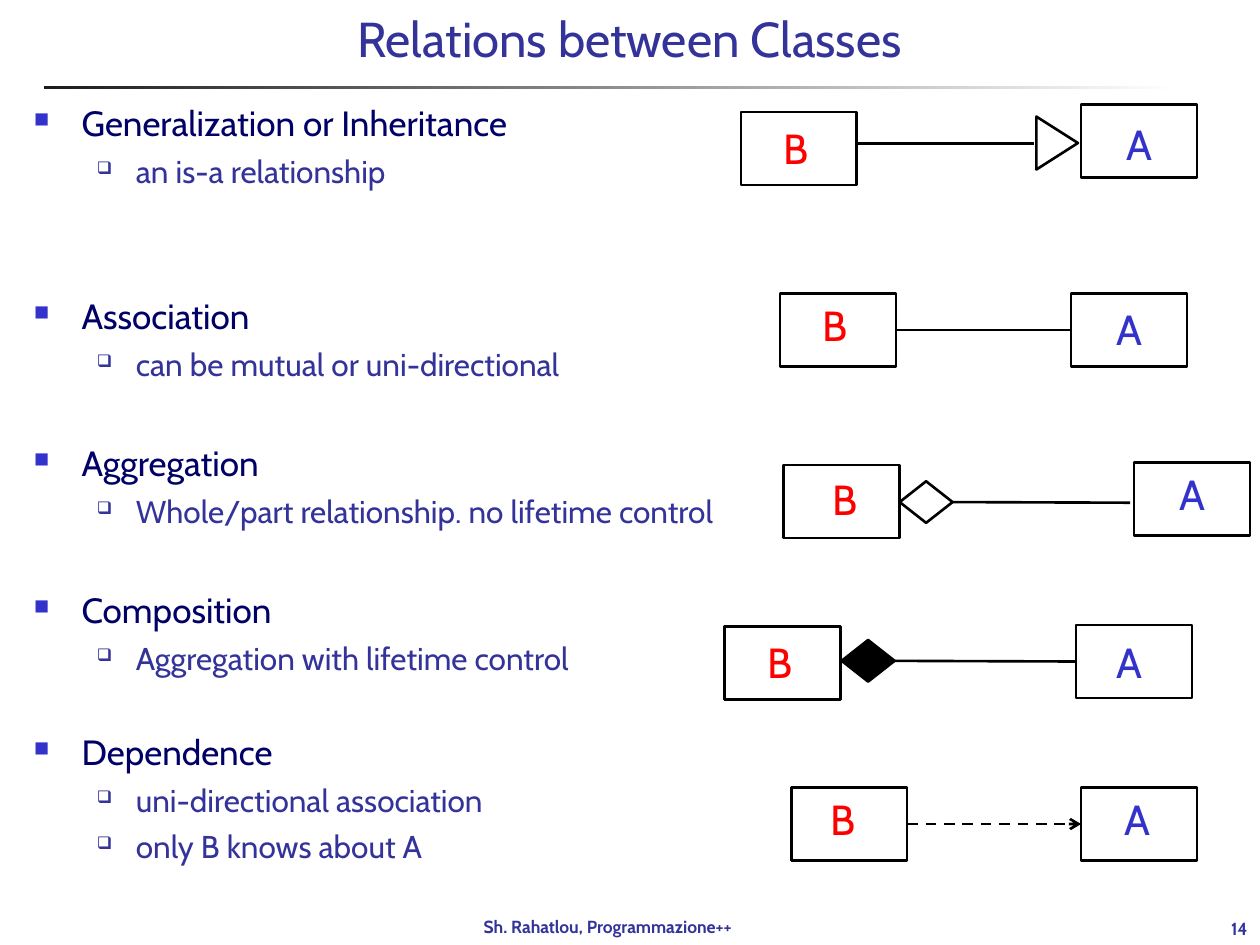
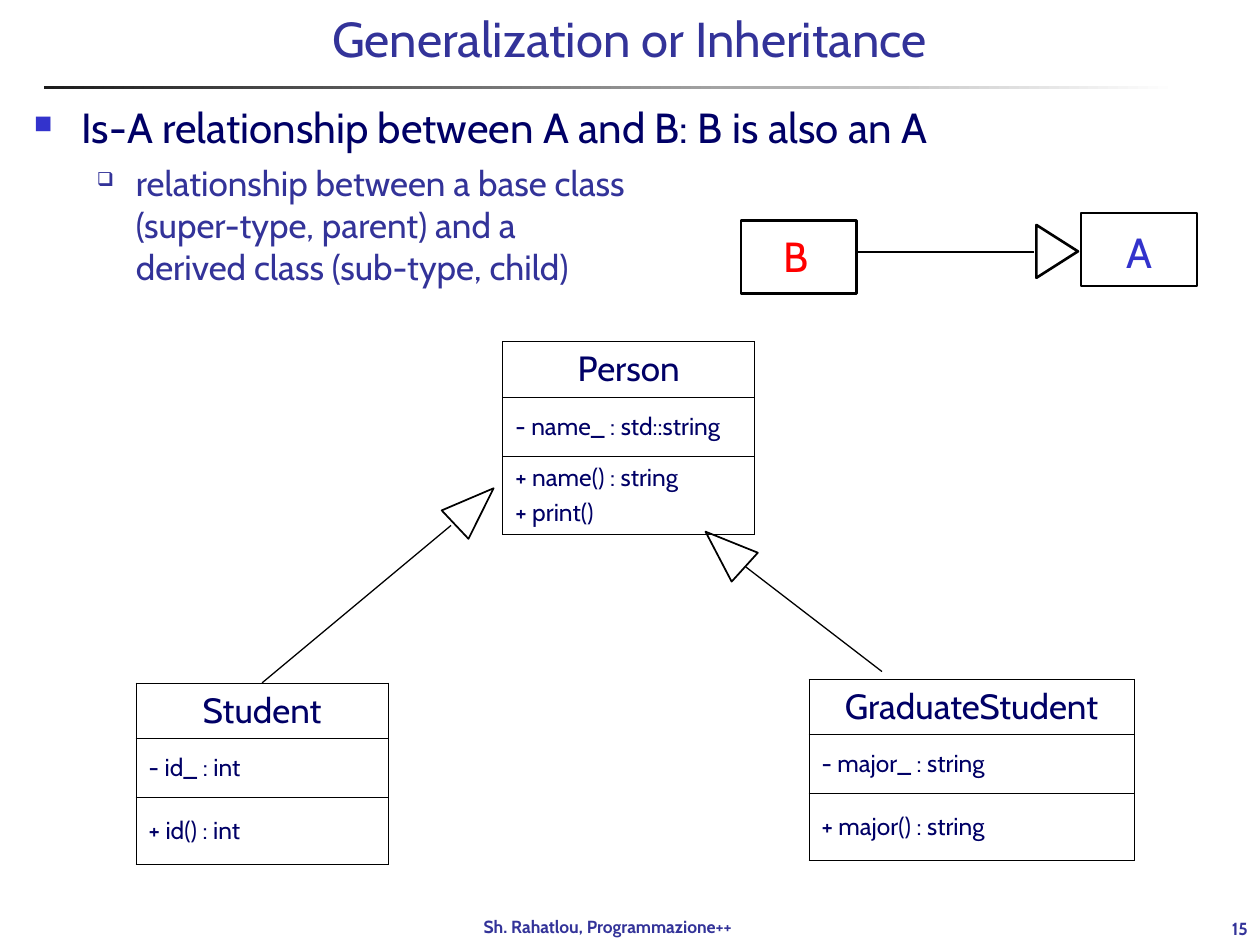
from dataclasses import dataclass

import lxml.etree
import pptx
import pptx.dml.color
import pptx.enum.dml
import pptx.enum.shapes
import pptx.enum.text
import pptx.oxml.ns
import pptx.util

Inches = pptx.util.Inches
Pt = pptx.util.Pt
qn = pptx.oxml.ns.qn
SHAPES = pptx.enum.shapes.MSO_SHAPE
ALIGN = pptx.enum.text.PP_ALIGN
ANCHOR = pptx.enum.text.MSO_ANCHOR


@dataclass(frozen=True)
class Theme:
    font: str = "Cabin"
    title: str = "333399"
    heading: str = "000066"
    accent: str = "3333CC"
    red: str = "FF0000"
    black: str = "000000"
    rule_start: str = "1C1C1C"
    rule_end: str = "FFFFFF"
    title_size: int = 28
    label_size: int = 24
    class_size: int = 20
    member_size: int = 14
    footer_size: int = 10
    stroke: float = 1.5
    class_border: float = 0.45


THEME = Theme()


@dataclass(frozen=True)
class Relation:
    """Positions in inches, measured from the top left corner of box B."""
    a_box: tuple
    a_label: tuple
    b_label: tuple
    line: tuple  # start x, end x, y
    marker: str = ""
    marker_at: tuple = ()
    filled: bool = False
    dashed: bool = False
    join_begin: bool = False
    join_end: bool = False


GENERALIZATION = Relation((2.7, -0.06), (2.96, 0), (0.24, 0.03), (0.91, 2.33, 0.25),
                          "triangle", (2.3, 0.08))
ASSOCIATION = Relation((2.31, 0), (2.57, 0.03), (0.24, 0), (0.92, 2.31, 0.29),
                       join_begin=True, join_end=True)
AGGREGATION = Relation((2.78, -0.02), (3.04, -0.02), (0.29, 0.02), (1.34, 2.75, 0.3),
                       "diamond", (0.92, 0.13), join_begin=True)
COMPOSITION = Relation((2.79, -0.01), (3.01, 0.03), (0.24, 0.03), (1.35, 2.79, 0.28),
                       "diamond", (0.93, 0.11), filled=True, join_begin=True, join_end=True)
DEPENDENCE = Relation((2.3, 0), (2.55, 0), (0.21, 0), (0.92, 2.3, 0.29),
                      dashed=True, join_begin=True, join_end=True)


def rgb(value):
    return pptx.dml.color.RGBColor.from_string(value)


def set_all(target, values):
    for name, value in values.items():
        setattr(target, name, value)


def write(paragraph, text, size, color, bold=False, **layout):
    paragraph.text = text
    set_all(paragraph, layout)
    for run in paragraph.runs:
        set_all(run.font, {"name": THEME.font, "size": Pt(size), "bold": bold})
        run.font.color.rgb = rgb(color)


def add_text(slide, box, text, size, color, bold=False, align=ALIGN.LEFT, **frame_format):
    shape = slide.shapes.add_textbox(*map(Inches, box))
    set_all(shape.text_frame, frame_format)
    write(shape.text_frame.paragraphs[0], text, size, color, bold, alignment=align)


def add_outline(slide, kind, box, width=THEME.stroke, rotation=0, fill=None):
    shape = slide.shapes.add_shape(kind, *map(Inches, box))
    shape.shadow.inherit = False
    shape.rotation = rotation
    shape.line.color.rgb = rgb(THEME.black)
    shape.line.width = Pt(width)
    if fill:
        shape.fill.solid()
        shape.fill.fore_color.rgb = rgb(fill)
    else:
        shape.fill.background()
    return shape


def add_line(slide, start, end, width=THEME.stroke):
    connector = slide.shapes.add_connector(
        pptx.enum.shapes.MSO_CONNECTOR.STRAIGHT, *map(Inches, (*start, *end)))
    connector.line.color.rgb = rgb(THEME.black)
    connector.line.width = Pt(width)
    lxml.etree.SubElement(connector.element.spPr, qn("a:effectLst"))
    return connector


def add_base_slide(presentation, title, number):
    """Title-only slide with the title, fading rule, footer and number."""
    slide = presentation.slides.add_slide(presentation.slide_layouts[5])
    rule = slide.shapes.add_shape(SHAPES.RECTANGLE, *map(Inches, (0.35, 0.68, 9, 0.03)))
    rule.shadow.inherit = False
    rule.line.fill.background()
    rule.fill.gradient()
    rule.fill.gradient_angle = 0
    for stop, color in zip(rule.fill.gradient_stops, (THEME.rule_start, THEME.rule_end)):
        stop.color.rgb = rgb(color)

    placeholder = slide.shapes.title
    set_all(placeholder, {"left": Inches(0.58), "top": Inches(0.02),
                          "width": Inches(8.83), "height": Inches(0.67)})
    placeholder.text_frame.vertical_anchor = ANCHOR.TOP
    write(placeholder.text_frame.paragraphs[0], title, THEME.title_size, THEME.title,
          alignment=ALIGN.CENTER)

    add_text(slide, (3.74, 7.22, 2.49, 0.27), "Sh. Rahatlou, Programmazione++",
             THEME.footer_size, THEME.title, bold=True, word_wrap=False)
    add_text(slide, (8.92, 7.25, 1.08, 0.25), str(number), THEME.footer_size, THEME.title,
             bold=True, align=ALIGN.RIGHT, word_wrap=True, vertical_anchor=ANCHOR.BOTTOM)
    return slide


def add_bullet(paragraph, level):
    margin, indent, color, percent, character = (
        (0.38, -0.38, THEME.accent, 60, "■"),
        (0.81, -0.31, THEME.title, 55, "❑"))[level]
    properties = paragraph._p.get_or_add_pPr()
    properties.set("marL", str(Inches(margin)))
    properties.set("indent", str(Inches(indent)))
    bullet_color = lxml.etree.SubElement(properties, qn("a:buClr"))
    lxml.etree.SubElement(bullet_color, qn("a:srgbClr"), val=color)
    lxml.etree.SubElement(properties, qn("a:buSzPct"), val=str(percent * 1000))
    lxml.etree.SubElement(properties, qn("a:buChar"), char=character)


def add_outline_text(slide, box, items, sizes):
    """Bulleted text; items are (level, text, space before in points)."""
    frame = slide.shapes.add_textbox(*map(Inches, box)).text_frame
    frame.word_wrap = True
    for index, (level, text, space) in enumerate(items):
        paragraph = frame.add_paragraph() if index else frame.paragraphs[0]
        write(paragraph, text, sizes[level], (THEME.heading, THEME.title)[level],
              level=level, space_before=Pt(space))
        add_bullet(paragraph, level)


def add_relation(slide, left, top, relation):
    def place(offset, *size):
        return (left + offset[0], top + offset[1], *size)

    start, end, height = relation.line
    connector = add_line(slide, place((start, height)), place((end, height)))
    b_box, a_box = (add_outline(slide, SHAPES.RECTANGLE, place(offset, 0.92, 0.58))
                    for offset in ((0, 0), relation.a_box))
    source = b_box
    if relation.marker:
        kind, rotation = {"triangle": (SHAPES.ISOSCELES_TRIANGLE, 90),
                          "diamond": (SHAPES.DIAMOND, 0)}[relation.marker]
        source = add_outline(slide, kind, place(relation.marker_at, 0.42, 0.33),
                             rotation=rotation, fill=THEME.black if relation.filled else None)
    if relation.join_begin:
        connector.begin_connect(source, 3)
    if relation.join_end:
        connector.end_connect(a_box, 1)
    if relation.dashed:
        connector.line.dash_style = pptx.enum.dml.MSO_LINE.DASH
        lxml.etree.SubElement(connector.line._get_or_add_ln(), qn("a:tailEnd"), type="arrow")
    for text, offset, color in (("A", relation.a_label, THEME.accent),
                                ("B", relation.b_label, THEME.red)):
        add_text(slide, place(offset, 0.41, 0.5), text, THEME.label_size, color,
                 word_wrap=False)


def add_cell_borders(cell):
    properties = cell._tc.get_or_add_tcPr()
    for index, side in enumerate(("lnL", "lnR", "lnT", "lnB")):
        line = lxml.etree.Element(qn("a:" + side), w=str(Pt(THEME.class_border)))
        fill = lxml.etree.SubElement(line, qn("a:solidFill"))
        lxml.etree.SubElement(fill, qn("a:srgbClr"), val=THEME.black)
        properties.insert(index, line)


def add_class_table(slide, box, name, attribute, methods, method_height=0.53):
    heights = (0.44, 0.47, method_height)
    shape = slide.shapes.add_table(3, 1, *map(Inches, (*box, sum(heights))))
    table = shape.table
    set_all(table, {"first_row": False, "horz_banding": False})
    for index, (height, lines) in enumerate(zip(heights, ([name], [attribute], methods))):
        table.rows[index].height = Inches(height)
        cell = table.cell(index, 0)
        cell.fill.background()
        cell.vertical_anchor = ANCHOR.MIDDLE
        add_cell_borders(cell)
        size, space, align = ((THEME.member_size, 3.5, ALIGN.LEFT) if index
                              else (THEME.class_size, 5, ALIGN.CENTER))
        for line_index, line in enumerate(lines):
            frame = cell.text_frame
            paragraph = frame.add_paragraph() if line_index else frame.paragraphs[0]
            write(paragraph, line, size, THEME.heading, alignment=align,
                  space_before=Pt(space))


def add_inheritance_arrow(slide, start, end, head, rotation):
    add_line(slide, start, end, 0.75)
    add_outline(slide, SHAPES.ISOSCELES_TRIANGLE, (*head, 0.31, 0.42), 1, rotation)


BODY = (0.17, 0.76, 9.63, 6.4)


def build_relations_slide(presentation):
    slide = add_base_slide(presentation, "Relations between Classes", 14)
    add_outline_text(slide, BODY, (
        (0, "Generalization or Inheritance", 5),
        (1, "an is-a relationship", 4.5),
        (0, "Association", 60),
        (1, "can be mutual or uni-directional", 4.5),
        (0, "Aggregation", 34),
        (1, "Whole/part relationship. no lifetime control", 4.5),
        (0, "Composition", 34),
        (1, "Aggregation with lifetime control", 4.5),
        (0, "Dependence", 31),
        (1, "uni-directional association", 4.5),
        (1, "only B knows about A", 4.5)), (20, 18))
    for left, top, relation in ((5.88, 0.89, GENERALIZATION), (6.19, 2.33, ASSOCIATION),
                                (6.22, 3.69, AGGREGATION), (5.75, 4.97, COMPOSITION),
                                (6.28, 6.25, DEPENDENCE)):
        add_relation(slide, left, top, relation)


def build_inheritance_slide(presentation):
    slide = add_base_slide(presentation, "Generalization or Inheritance", 15)
    add_outline_text(slide, BODY, (
        (0, "Is-A relationship between A and B: B is also an A", 6),
        (1, "relationship between a base class\v(super-type, parent) and a\v"
            "derived class (sub-type, child)", 5)), (24, 20))
    add_relation(slide, 5.88, 1.75, GENERALIZATION)
    add_class_table(slide, (3.99, 2.71, 2), "Person", "- name_ : std::string",
                    ("+ name() : string", "+ print()"), 0.62)
    add_class_table(slide, (1.08, 5.42, 2), "Student", "- id_ : int", ("+ id() : int",))
    add_class_table(slide, (6.42, 5.39, 2.58), "GraduateStudent", "- major_ : string",
                    ("+ major() : string",))
    add_inheritance_arrow(slide, (2.08, 5.42), (3.58, 4.17), (3.61, 3.81), 46.7)
    add_inheritance_arrow(slide, (7, 5.33), (5.92, 4.5), (5.6, 4.15), 312.2)


def main():
    presentation = pptx.Presentation()
    presentation.slide_width = Inches(10)
    presentation.slide_height = Inches(7.5)
    build_relations_slide(presentation)
    build_inheritance_slide(presentation)
    presentation.save("out.pptx")


if __name__ == "__main__":
    main()
